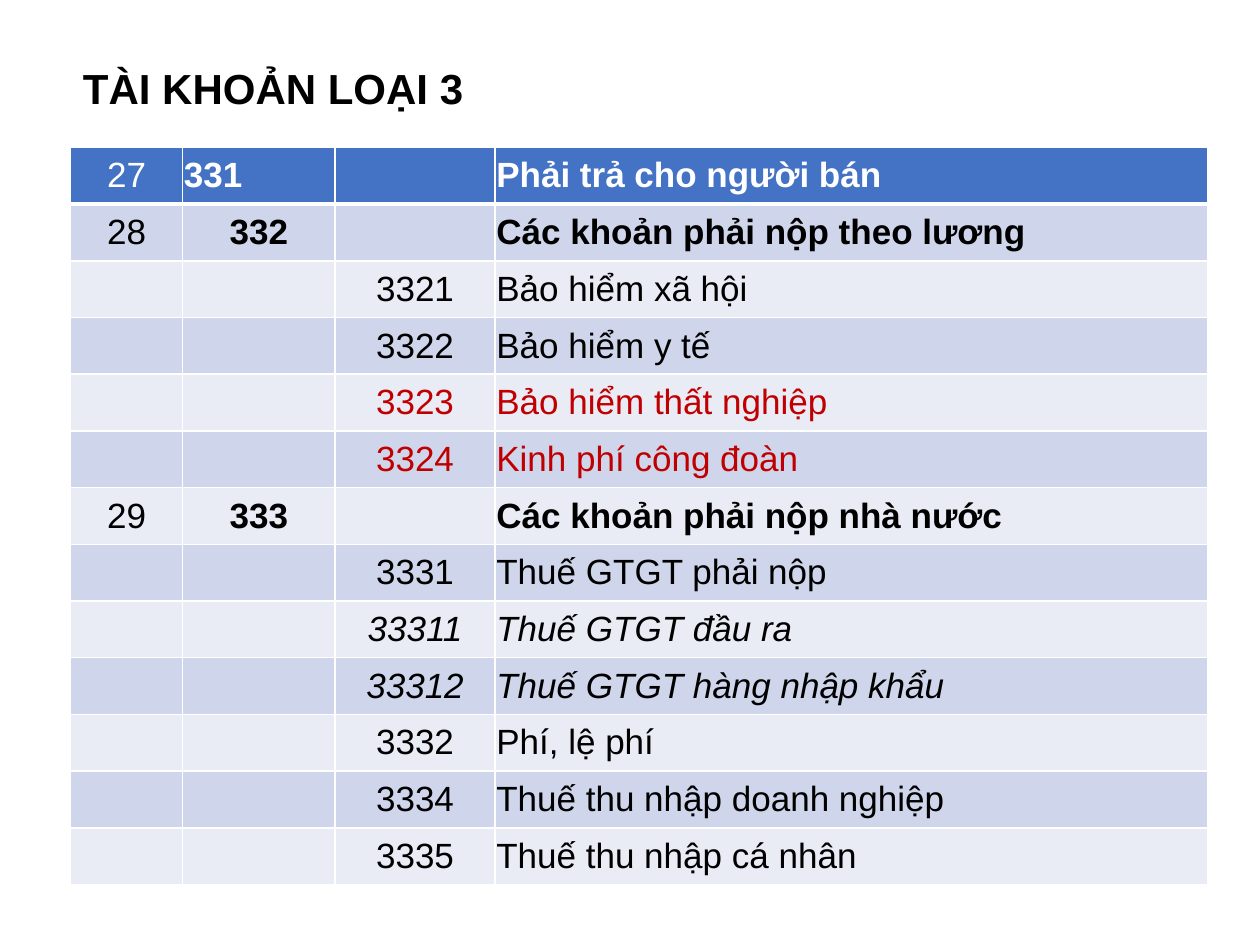
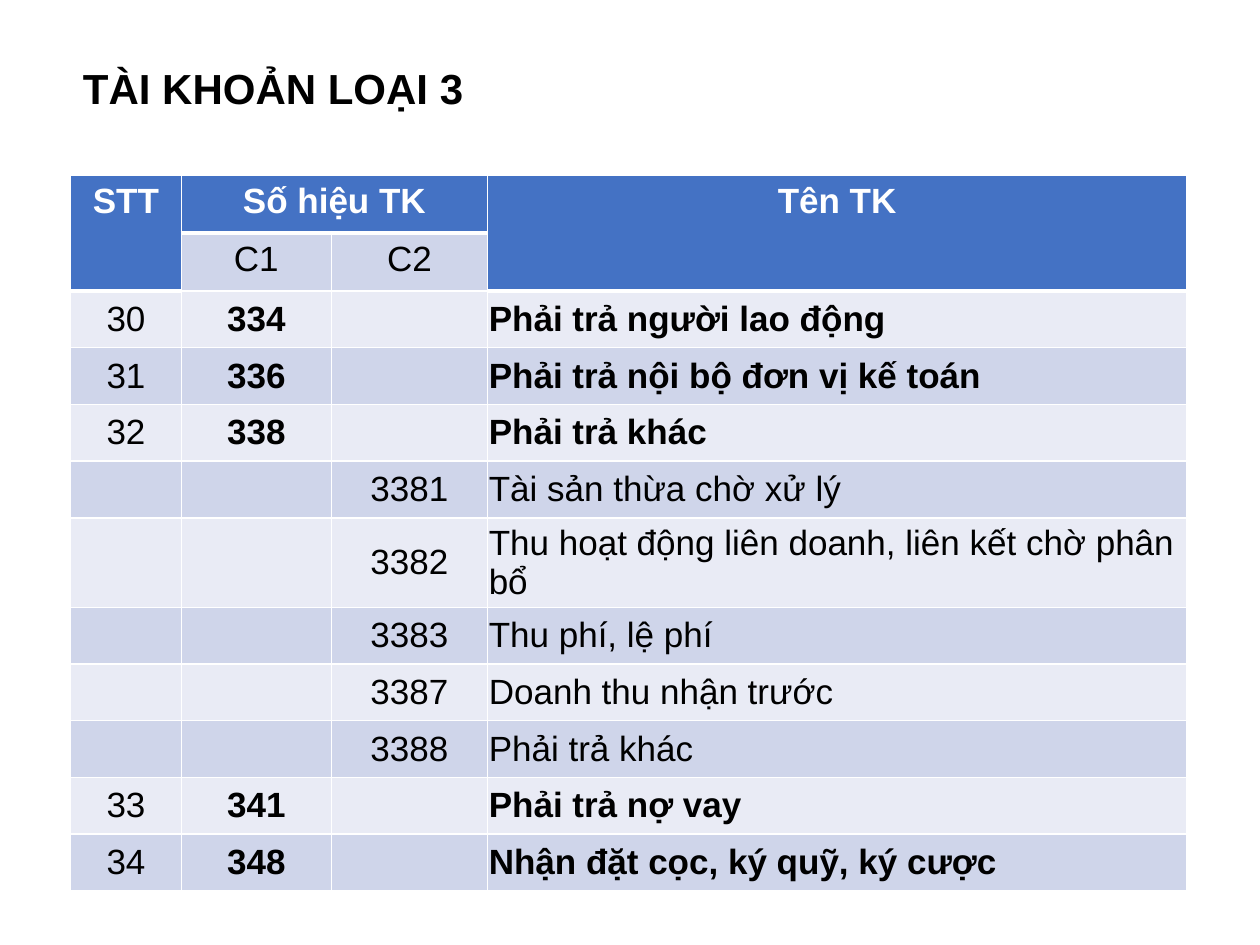
from lxml import etree
from pptx import Presentation, util as u
from pptx.dml.color import RGBColor
from pptx.enum import text
from pptx.oxml.ns import qn

COLORS = {"ink": "000000", "white": "FFFFFF", "header": "4472C4",
          "dark_band": "CFD5EA", "light_band": "E9EBF5", "red": "C00000"}
FONT = "Arial"
LEFT = 0.56
RED_CODES = ("3323", "3324")

TABLES = [
    {"top": 1.17, "columns": [0.89, 1.21, 1.27, 5.66], "heights": [0.45] * 13,
     "heading_rows": 0, "merges": [],
     "rows": [
         ("27", "331", "", "Phải trả cho người bán"),
         ("28", "332", "", "Các khoản phải nộp theo lương"),
         ("", "", "3321", "Bảo hiểm xã hội"),
         ("", "", "3322", "Bảo hiểm y tế"),
         ("", "", "3323", "Bảo hiểm thất nghiệp"),
         ("", "", "3324", "Kinh phí công đoàn"),
         ("29", "333", "", "Các khoản phải nộp nhà nước"),
         ("", "", "3331", "Thuế GTGT phải nộp"),
         ("", "", "33311", "Thuế GTGT đầu ra"),
         ("", "", "33312", "Thuế GTGT hàng nhập khẩu"),
         ("", "", "3332", "Phí, lệ phí"),
         ("", "", "3334", "Thuế thu nhập doanh nghiệp"),
         ("", "", "3335", "Thuế thu nhập cá nhân"),
     ]},
    {"top": 1.39, "columns": [0.88, 1.19, 1.24, 5.55],
     "heights": [0.46] * 2 + [0.45] * 4 + [0.71] + [0.45] * 5,
     "heading_rows": 2, "merges": [(0, 0, 1, 0), (0, 1, 0, 2), (0, 3, 1, 3)],
     "rows": [
         ("STT", "Số hiệu TK", "", "Tên TK"),
         ("", "C1", "C2", ""),
         ("30", "334", "", "Phải trả người lao động"),
         ("31", "336", "", "Phải trả nội bộ đơn vị kế toán"),
         ("32", "338", "", "Phải trả khác"),
         ("", "", "3381", "Tài sản thừa chờ xử lý"),
         ("", "", "3382", "Thu hoạt động liên doanh, liên kết chờ phân bổ"),
         ("", "", "3383", "Thu phí, lệ phí"),
         ("", "", "3387", "Doanh thu nhận trước"),
         ("", "", "3388", "Phải trả khác"),
         ("33", "341", "", "Phải trả nợ vay"),
         ("34", "348", "", "Nhận đặt cọc, ký quỹ, ký cược"),
     ]},
]


def write(frame, words, size=20, color="ink", bold=False, italic=False, centred=False):
    para = frame.paragraphs[0]
    para.alignment = text.PP_ALIGN.CENTER if centred else text.PP_ALIGN.LEFT
    span = para.add_run()
    span.text = words
    span.font.name = FONT
    span.font.size = u.Pt(size)
    span.font.bold = bold
    span.font.italic = italic
    span.font.color.rgb = RGBColor.from_string(COLORS[color])


def add_borders(cell, top, bottom):
    properties = cell._tc.get_or_add_tcPr()
    for side, width in (("L", 1), ("R", 1), ("T", top), ("B", bottom)):
        line = etree.SubElement(properties, qn(f"a:ln{side}"), w=str(u.Pt(width)))
        fill = etree.SubElement(line, qn("a:solidFill"))
        etree.SubElement(fill, qn("a:srgbClr"), val=COLORS["white"])


deck = Presentation()
deck.slide_width = u.Inches(10)
deck.slide_height = u.Inches(7.5)

for plan in TABLES:
    page = deck.slides.add_slide(deck.slide_layouts[6])
    box = page.shapes.add_textbox(u.Inches(LEFT), u.Inches(0.45), u.Inches(3.22), u.Inches(0.5))
    box.text_frame.word_wrap = False
    box.text_frame.auto_size = text.MSO_AUTO_SIZE.SHAPE_TO_FIT_TEXT
    write(box.text_frame, "TÀI KHOẢN LOẠI 3", size=24, bold=True)

    rows, columns, heights = plan["rows"], plan["columns"], plan["heights"]
    table = page.shapes.add_table(
        len(rows), len(columns), u.Inches(LEFT), u.Inches(plan["top"]),
        u.Inches(sum(columns)), u.Inches(sum(heights))).table
    for column, width in zip(table.columns, columns):
        column.width = u.Inches(width)
    for row, height in zip(table.rows, heights):
        row.height = u.Inches(height)
    for top, left, bottom, right in plan["merges"]:
        table.cell(top, left).merge(table.cell(bottom, right))

    for r, (number, level_one, level_two, name) in enumerate(rows):
        for c, words in enumerate((number, level_one, level_two, name)):
            cell = table.cell(r, c)
            in_header = r == 0 or cell.is_spanned
            in_heading = r < plan["heading_rows"]
            below_header = r == 1 or (r > 1 and table.cell(r - 1, c).is_spanned)
            add_borders(cell, 3 if below_header else 1, 3 if in_header else 1)
            band = "header" if in_header else "dark_band" if r % 2 else "light_band"
            cell.fill.solid()
            cell.fill.fore_color.rgb = RGBColor.from_string(COLORS[band])
            if not in_heading:
                cell.vertical_anchor = text.MSO_ANCHOR.MIDDLE
                cell.margin_left = cell.margin_right = u.Inches(0.01)
                cell.margin_top = cell.margin_bottom = 0
            if not words:
                continue
            color = "white" if in_header else "red" if level_two in RED_CODES else "ink"
            bold = r == 0 if in_heading else bool(level_one) and c > 0
            centred = in_heading or (c < 3 and words != "331")
            write(cell.text_frame, words, color=color, bold=bold,
                  italic=len(level_two) == 5, centred=centred)

deck.save("out.pptx")
